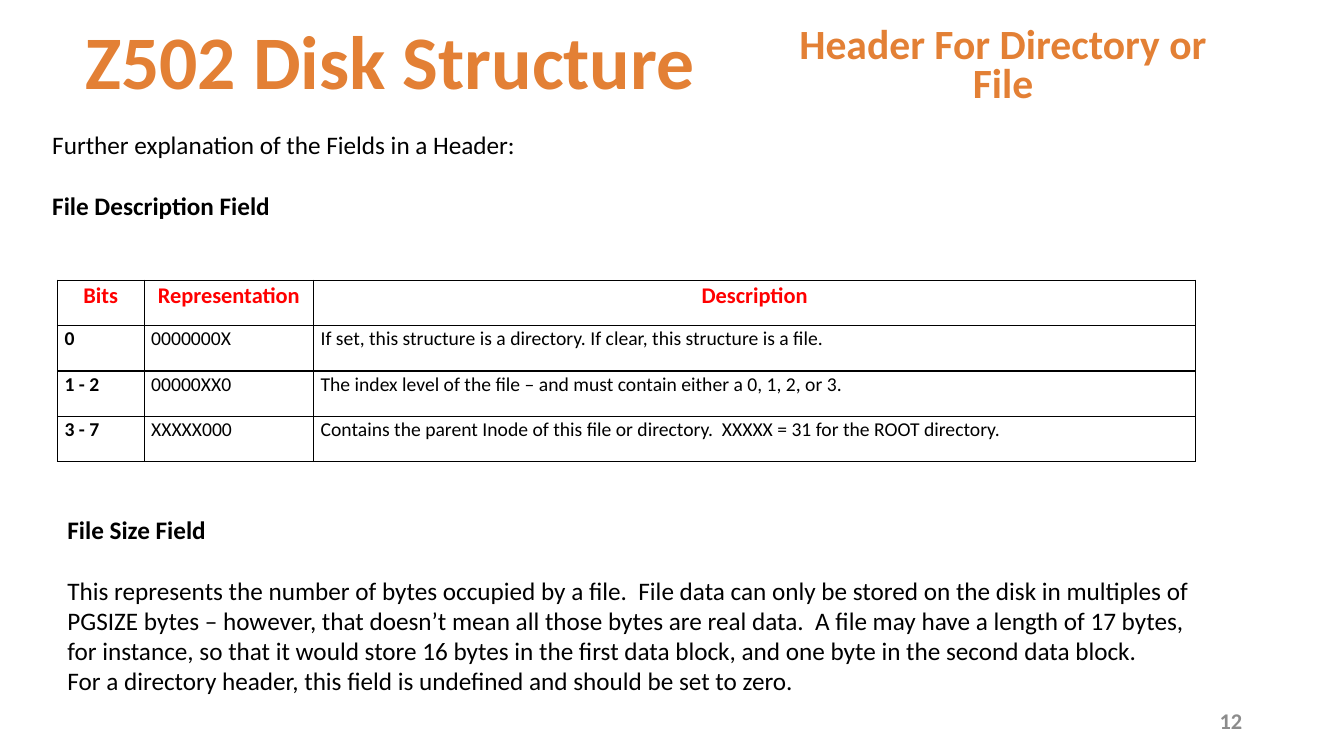
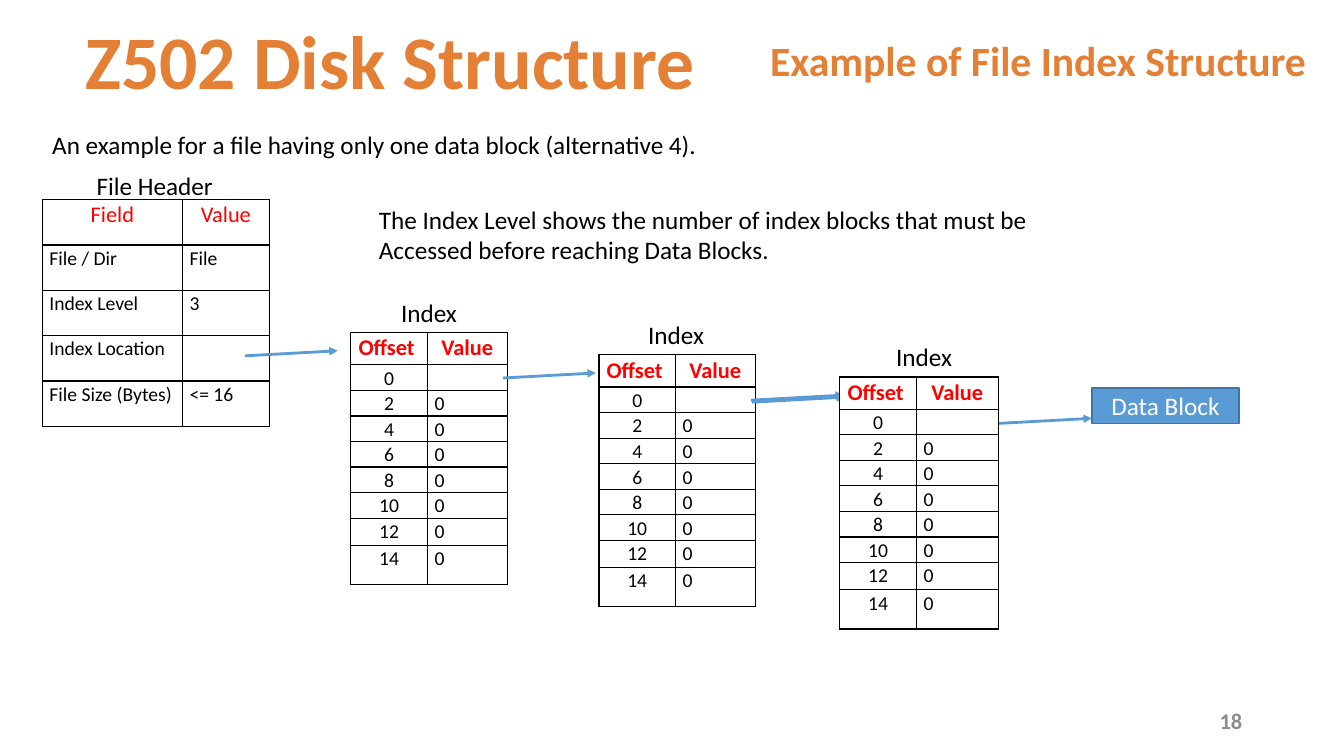
from lxml import etree
from pptx import Presentation
from pptx.dml.color import RGBColor
from pptx.enum.shapes import MSO_CONNECTOR, MSO_SHAPE
from pptx.enum.text import MSO_ANCHOR, MSO_AUTO_SIZE, PP_ALIGN
from pptx.oxml.ns import qn
from pptx.util import Pt

PX = 9144  # EMU in one px, 100 px to the inch
FONT = "Calibri"

ORANGE = RGBColor(0xE3, 0x80, 0x35)
GREY = RGBColor(0x8C, 0x8C, 0x8C)
BLACK = RGBColor(0, 0, 0)
WHITE = RGBColor(0xFF, 0xFF, 0xFF)
RED = RGBColor(0xFF, 0, 0)
BLUE = RGBColor(0x5B, 0x9B, 0xD5)
DARK_BLUE = RGBColor(0x43, 0x73, 0x9E)

LEFT, CENTER, RIGHT = PP_ALIGN.LEFT, PP_ALIGN.CENTER, PP_ALIGN.RIGHT
TOP, MIDDLE, BOTTOM = MSO_ANCHOR.TOP, MSO_ANCHOR.MIDDLE, MSO_ANCHOR.BOTTOM

LINE_GAP = 22
HEADER_SIZE, CELL_SIZE = 16, 14
CELL_SPACING = 1.07

INDEX_ROWS = [("Offset ", "Value"), ("0", "")] + [
    (str(offset), "0") for offset in range(2, 16, 2)]
INDEX_HEIGHTS = [32] + [25] * 6 + [27, 39]


def emu(*lengths):
    return [length * PX for length in lengths]


def write(para, text, size, color=BLACK, bold=False, align=LEFT, spacing=None, gap=0):
    """Fill one paragraph; gap is the space before it in points."""
    para.alignment = align
    para.space_before = Pt(gap)
    if spacing:
        para.line_spacing = spacing
    span = para.add_run()
    span.text = text
    font = span.font
    font.name, font.size, font.bold = FONT, Pt(size), bold
    font.color.rgb = color


def set_frame(frame, anchor=TOP, wrap=True):
    frame.auto_size = MSO_AUTO_SIZE.NONE
    frame.word_wrap = wrap
    frame.vertical_anchor = anchor


def add_text(page, box, text, size=18, anchor=TOP, wrap=True, **style):
    """Add a text box with one paragraph and return its frame."""
    frame = page.shapes.add_textbox(*emu(*box)).text_frame
    set_frame(frame, anchor, wrap)
    write(frame.paragraphs[0], text, size, **style)
    return frame


def add_paragraph(frame, text, **style):
    write(frame.add_paragraph(), text, 18, **style)


def border_cell(cell):
    properties = cell._tc.get_or_add_tcPr()
    for position, side in enumerate(("a:lnL", "a:lnR", "a:lnT", "a:lnB")):
        line = etree.Element(qn(side), w=str(Pt(1)))
        fill = etree.SubElement(line, qn("a:solidFill"))
        etree.SubElement(fill, qn("a:srgbClr"), val=str(BLACK))
        properties.insert(position, line)


def fill_cell(cell, text, size, **style):
    cell.margin_left = cell.margin_right = 7 * PX
    cell.margin_top = cell.margin_bottom = 0
    cell.fill.solid()
    cell.fill.fore_color.rgb = WHITE
    border_cell(cell)
    para = cell.text_frame.paragraphs[0]
    if text:
        write(para, text, size, spacing=CELL_SPACING, **style)
    else:
        etree.SubElement(para._p, qn("a:endParaRPr"), sz=str(size * 100))


def add_grid(page, left, top, widths, heights, rows,
             header_bold=True, key_bold=False, key_align=LEFT):
    """Add a table; the key settings style its first column."""
    box = emu(left, top, sum(widths), sum(heights))
    table = page.shapes.add_table(len(rows), len(widths), *box).table
    table.first_row = table.horz_banding = False
    for column, width in zip(table.columns, widths):
        column.width = width * PX
    for row, height in zip(table.rows, heights):
        row.height = height * PX
    for row_number, texts in enumerate(rows):
        for column_number, text in enumerate(texts):
            cell = table.cell(row_number, column_number)
            if row_number == 0:
                fill_cell(cell, text, HEADER_SIZE, color=RED,
                          bold=header_bold, align=CENTER)
            elif column_number == 0:
                fill_cell(cell, text, CELL_SIZE, bold=key_bold, align=key_align)
            else:
                fill_cell(cell, text, CELL_SIZE)


def add_arrow(page, left, top):
    """Add a pointer that rises slightly to the right from its start."""
    arrow = page.shapes.add_connector(
        MSO_CONNECTOR.STRAIGHT, *emu(left, top, left + 92, top - 5))
    arrow.line.color.rgb = BLUE
    arrow.line.width = Pt(2)
    etree.SubElement(arrow.line._get_or_add_ln(), qn("a:tailEnd"), type="triangle")
    etree.SubElement(arrow._element.spPr, qn("a:effectLst"))


def add_page(deck, subtitle, subtitle_box, number):
    page = deck.slides.add_slide(deck.slide_layouts[5])
    title = page.shapes.title
    title.left, title.top, title.width, title.height = emu(57, 18, 660, 92)
    set_frame(title.text_frame, BOTTOM)
    write(title.text_frame.paragraphs[0], "Z502 Disk Structure", 54,
          color=ORANGE, bold=True, align=CENTER, spacing=0.9)
    add_text(page, subtitle_box, subtitle, 29.7, BOTTOM,
             color=ORANGE, bold=True, align=CENTER, spacing=0.8)
    add_text(page, (942, 695, 300, 40), number, 16, MIDDLE,
             color=GREY, bold=True, align=RIGHT)
    return page


def add_index(page, left, top, value_width, label_shift, arrow_starts):
    """Add a labelled index block and the arrows leaving its first row."""
    add_grid(page, left, top, [76, value_width], INDEX_HEIGHTS, INDEX_ROWS,
             key_align=CENTER)
    add_text(page, (left + label_shift, top - 40, 76, 40), "Index", wrap=False)
    for across, down in arrow_starts:
        add_arrow(page, left + across, top + down)


def add_file_header(page, left, top):
    add_text(page, (left + 44, top - 34, 137, 40), "File Header", wrap=False)
    add_grid(page, left, top, [139, 86], [45] * 5, [
        ("Field", "Value"),
        ("File / Dir", "File"),
        ("Index Level", "3"),
        ("Index Location", ""),
        ("File Size (Bytes)", "<= 16"),
    ], header_bold=False)
    add_arrow(page, left + 201, top + 155)


def add_data_block(page, box):
    block = page.shapes.add_shape(MSO_SHAPE.RECTANGLE, *emu(*box))
    block.shadow.inherit = False
    block.fill.solid()
    block.fill.fore_color.rgb = BLUE
    block.line.color.rgb = DARK_BLUE
    block.line.width = Pt(1)
    set_frame(block.text_frame, MIDDLE)
    write(block.text_frame.paragraphs[0], "Data Block", 18, color=WHITE, align=CENTER)


def build_header_fields(deck):
    page = add_page(deck, "Header For Directory or File", (753, 29, 484, 82), "12")
    intro = add_text(page, (42, 123, 1266, 131),
                     "Further explanation of the Fields in a Header:")
    add_paragraph(intro, "File Description Field", bold=True, gap=LINE_GAP)
    add_grid(page, 57, 278, [86, 168, 875], [45] * 4, [
        ("Bits", "Representation", "Description"),
        ("0", "0000000X",
         "If set, this structure is a directory. If clear, this structure is a file."),
        ("1 - 2", "00000XX0",
         "The index level of the file – and must contain either a 0, 1, 2, or 3."),
        ("3 - 7", "XXXXX000",
         "Contains the parent Inode of this file or directory.  "
         "XXXXX = 31 for the ROOT directory."),
    ], key_bold=True)
    size_field = add_text(page, (57, 505, 1149, 192), "File Size Field", bold=True)
    add_paragraph(
        size_field,
        "This represents the number of bytes occupied by a file.  File data can only "
        "be stored on the disk in multiples of PGSIZE bytes – however, that doesn’t "
        "mean all those bytes are real data.  A file may have a length of 17 bytes, "
        "for instance, so that it would store 16 bytes in the first data block, and "
        "one byte in the second data block.", gap=LINE_GAP)
    add_paragraph(size_field, "For a directory header, this field is undefined "
                              "and should be set to zero.")


def build_index_example(deck):
    page = add_page(deck, "Example of File Index Structure", (753, 7, 554, 82), "18")
    add_text(page, (42, 123, 1266, 40),
             "An example for a file having only one data block (alternative 4).")
    add_file_header(page, 42, 198)
    add_index(page, 348, 330, 79, 40, [(151, 45)])
    add_index(page, 594, 352, 79, 39, [(151, 45), (152, 47)])
    add_index(page, 833, 374, 81, 46, [(158, 46)])
    add_data_block(page, (1083, 385, 146, 35))
    note = add_text(page, (366, 198, 671, 71),
                    "The Index Level shows the number of index blocks that must be",
                    wrap=False)
    add_paragraph(note, "Accessed before reaching Data Blocks.")


def main():
    deck = Presentation()
    deck.slide_width, deck.slide_height = emu(1333, 750)
    build_header_fields(deck)
    build_index_example(deck)
    deck.save("out.pptx")


if __name__ == "__main__":
    main()
